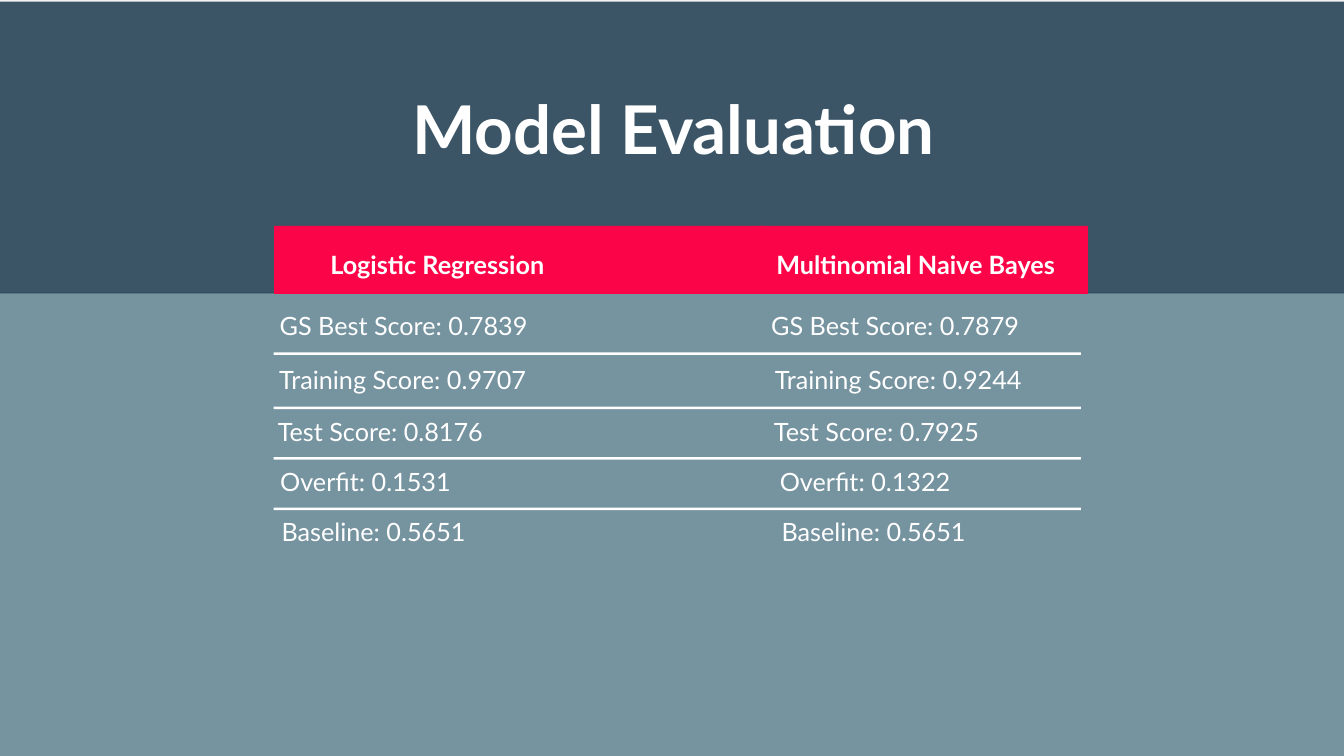
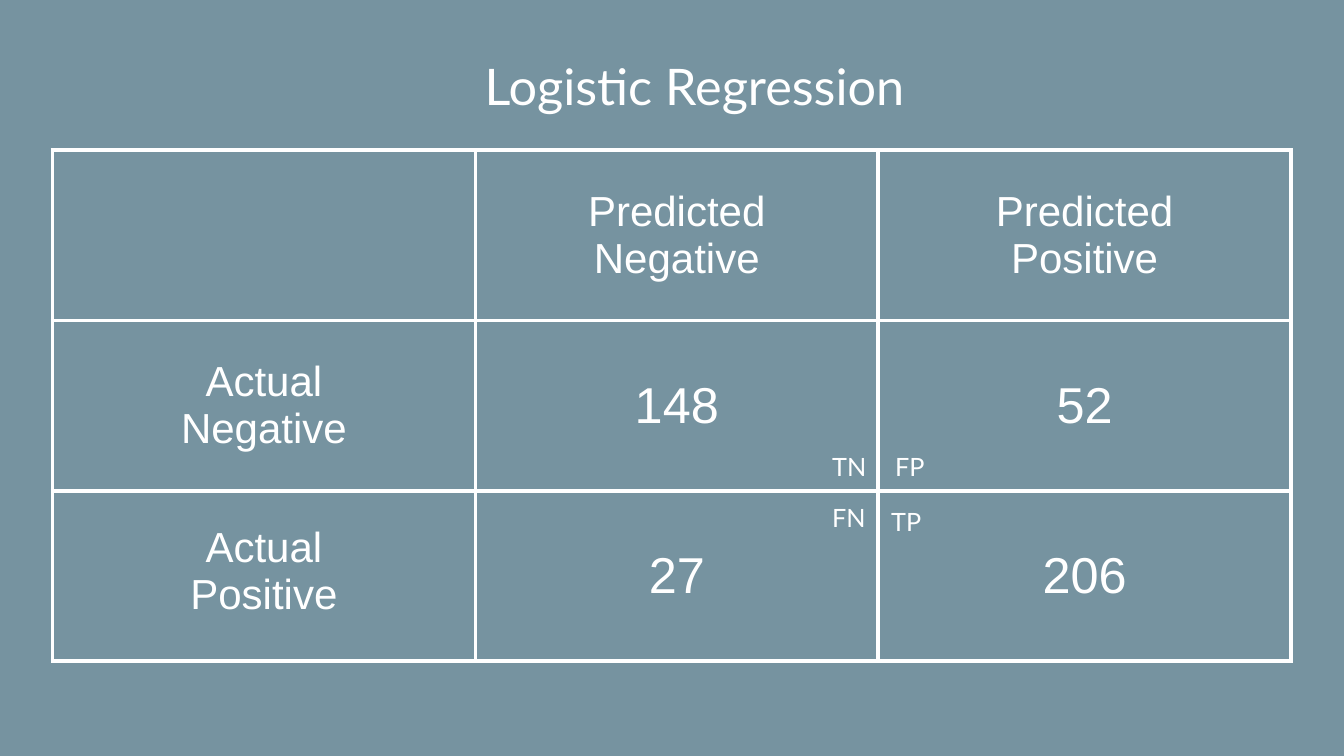
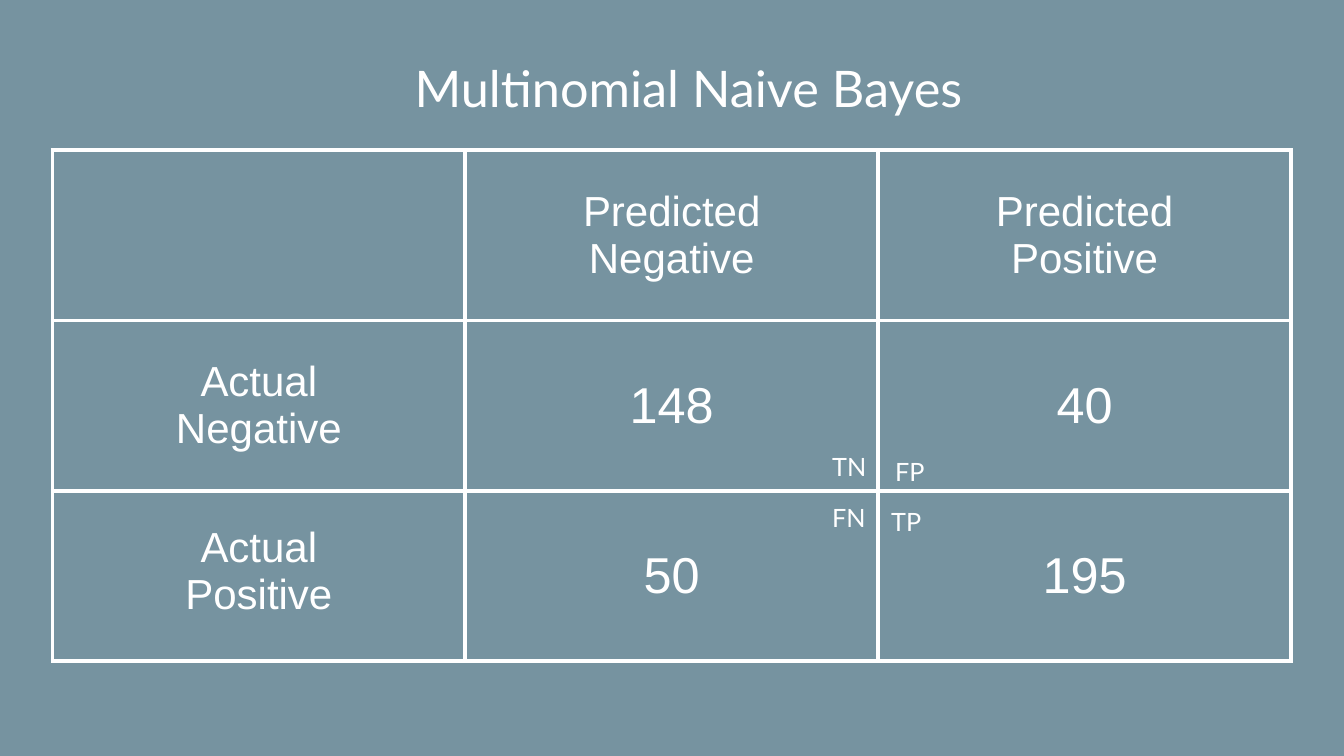
import dataclasses

import lxml.etree
import pptx
import pptx.dml.color
import pptx.enum.shapes
import pptx.enum.text
import pptx.oxml.ns
import pptx.util

PX = 9144  # EMU per px, 100 px to the inch
W, H = 2666, 1500
LEFT = pptx.enum.text.PP_ALIGN.LEFT
CENTER = pptx.enum.text.PP_ALIGN.CENTER
TOP = pptx.enum.text.MSO_ANCHOR.TOP
MIDDLE = pptx.enum.text.MSO_ANCHOR.MIDDLE
qn = pptx.oxml.ns.qn


@dataclasses.dataclass(frozen=True)
class Theme:
    back: str = "7693A0"
    band: str = "284457"
    band_under: str = "F2F2F2"
    accent: str = "FC0548"
    white: str = "FFFFFF"
    font: str = "Lato"
    table_font: str = "Arial"
    title: int = 96
    heading: int = 72
    label: int = 60
    body: int = 36
    border: int = 6


T = Theme()


def add_rect(shapes, x, y, w, h, color):
    sp = shapes.add_shape(pptx.enum.shapes.MSO_SHAPE.RECTANGLE, x * PX, y * PX, w * PX, h * PX)
    sp.shadow.inherit = False
    sp.fill.solid()
    sp.fill.fore_color.rgb = pptx.dml.color.RGBColor.from_string(color)
    sp.line.fill.background()
    return sp


def write(tf, lines, size, font=T.font, bold=False, align=CENTER, spacing=None):
    tf.word_wrap = True
    for i, line in enumerate(lines):
        p = tf.add_paragraph() if i else tf.paragraphs[0]
        p.alignment = align
        p.line_spacing = spacing
        r = p.add_run()
        r.text = line
        r.font.size = pptx.util.Pt(size)
        r.font.name = font
        r.font.bold = bold
        r.font.color.rgb = pptx.dml.color.RGBColor.from_string(T.white)


prs = pptx.Presentation()
prs.slide_width = W * PX
prs.slide_height = H * PX

# Three slides on the same background
slides = []
for _ in range(3):
    s = prs.slides.add_slide(prs.slide_layouts[6])
    add_rect(s.shapes, 0, 0, W, H, T.back)
    slides.append(s)

# Slide 1: top band and red header bar
s = slides[0]
band = s.shapes.add_group_shape()
add_rect(band.shapes, 0, 0, W, 579, T.band_under)
sp = add_rect(band.shapes, 0, 3, W, 579, T.band)
color = sp.fill._xPr.find(qn("a:solidFill"))[0]
lxml.etree.SubElement(color, qn("a:alpha"), val="90000")
for x, w in ((544, 976), (1505, 653)):
    add_rect(s.shapes, x, 448, w, 135, T.accent)

# Slide 1: title and column headers
for text, x, y, w, h, size, spacing in (
    ("Model Evaluation", 536, 169, 1601, 111, T.title, None),
    ("Logistic Regression", 519, 482, 697, 68, T.body, 1.13),
    ("Multinomial Naive Bayes", 1421, 481, 791, 135, T.body, 1.13),
):
    tb = s.shapes.add_textbox(x * PX, y * PX, w * PX, h * PX)
    write(tb.text_frame, [text], size, bold=True, spacing=spacing)

# Slide 1: scores of both models and the rules between them
for name, y, w, align, scores in (
    ("GS Best Score", 611, 536, LEFT, ((545, "0.7839"), (1520, "0.7879"))),
    ("Training Score", 717, 536, LEFT, ((544, "0.9707"), (1527, "0.9244"))),
    ("Test Score", 822, 839, CENTER, ((335, "0.8176"), (1319, "0.7925"))),
    ("Overfit", 920, 574, CENTER, ((438, "0.1531"), (1429, "0.1322"))),
    ("Baseline", 1020, 574, CENTER, ((454, "0.5651"), (1446, "0.5651"))),
):
    for x, score in scores:
        tb = s.shapes.add_textbox(x * PX, y * PX, w * PX, 71 * PX)
        write(tb.text_frame, [f"{name}: {score}"], T.body, align=align)
for y in (699, 807, 907, 1007):
    add_rect(s.shapes, 543, y, 1601, 5, T.white)

# Slides 2 and 3: confusion matrices
matrices = (
    ("Logistic Regression", (602, 40, 1551, 259), (839, 799, 819), ("148", "52", "27", "206"), 886),
    ("Multinomial Naive Bayes", (546, 57, 1639, 233), (819, 819, 819), ("148", "40", "50", "195"), 895),
)
for s, (title, title_box, widths, (tn, fp, fn, tp), fp_top) in zip(slides[1:], matrices):
    rows = (
        ("", "Predicted\nNegative", "Predicted\nPositive"),
        ("Actual\nNegative", tn, fp),
        ("Actual\nPositive", fn, tp),
    )
    table = s.shapes.add_table(3, 3, 104 * PX, 298 * PX, sum(widths) * PX, 3 * 338 * PX).table
    table.first_row = table.horz_banding = False
    for col, w in zip(table.columns, widths):
        col.width = w * PX
    for i, row in enumerate(rows):
        table.rows[i].height = 338 * PX
        for j, text in enumerate(row):
            cell = table.cell(i, j)
            cell.vertical_anchor = MIDDLE
            cell.margin_left = cell.margin_right = cell.margin_top = cell.margin_bottom = 10 * PX
            if (i, j) == (2, 0):
                cell.margin_bottom = 30 * PX  # this label sits slightly higher
            if text:
                size = T.heading if i and j else T.label
                write(cell.text_frame, text.split("\n"), size, T.table_font)
            tcPr = cell._tc.get_or_add_tcPr()
            for side in ("a:lnL", "a:lnR", "a:lnT", "a:lnB"):
                ln = lxml.etree.SubElement(tcPr, qn(side), w=str(pptx.util.Pt(T.border)))
                fill = lxml.etree.SubElement(ln, qn("a:solidFill"))
                lxml.etree.SubElement(fill, qn("a:srgbClr"), val=T.white)
            cell.fill.background()

    # Heading and corner labels
    for text, (x, y, w, h), size, align, anchor in (
        (title, title_box, T.heading, CENTER, MIDDLE),
        ("TN", (1641, 886, 108, 74), T.body, LEFT, TOP),
        ("TP", (1758, 995, 108, 74), T.body, LEFT, TOP),
        ("FP", (1766, fp_top, 108, 74), T.body, LEFT, TOP),
        ("FN", (1641, 986, 108, 74), T.body, LEFT, TOP),
    ):
        tf = s.shapes.add_textbox(x * PX, y * PX, w * PX, h * PX).text_frame
        tf.margin_left = tf.margin_right = tf.margin_top = tf.margin_bottom = 10 * PX
        tf.vertical_anchor = anchor
        write(tf, [text], size, align=align)

prs.save("out.pptx")
